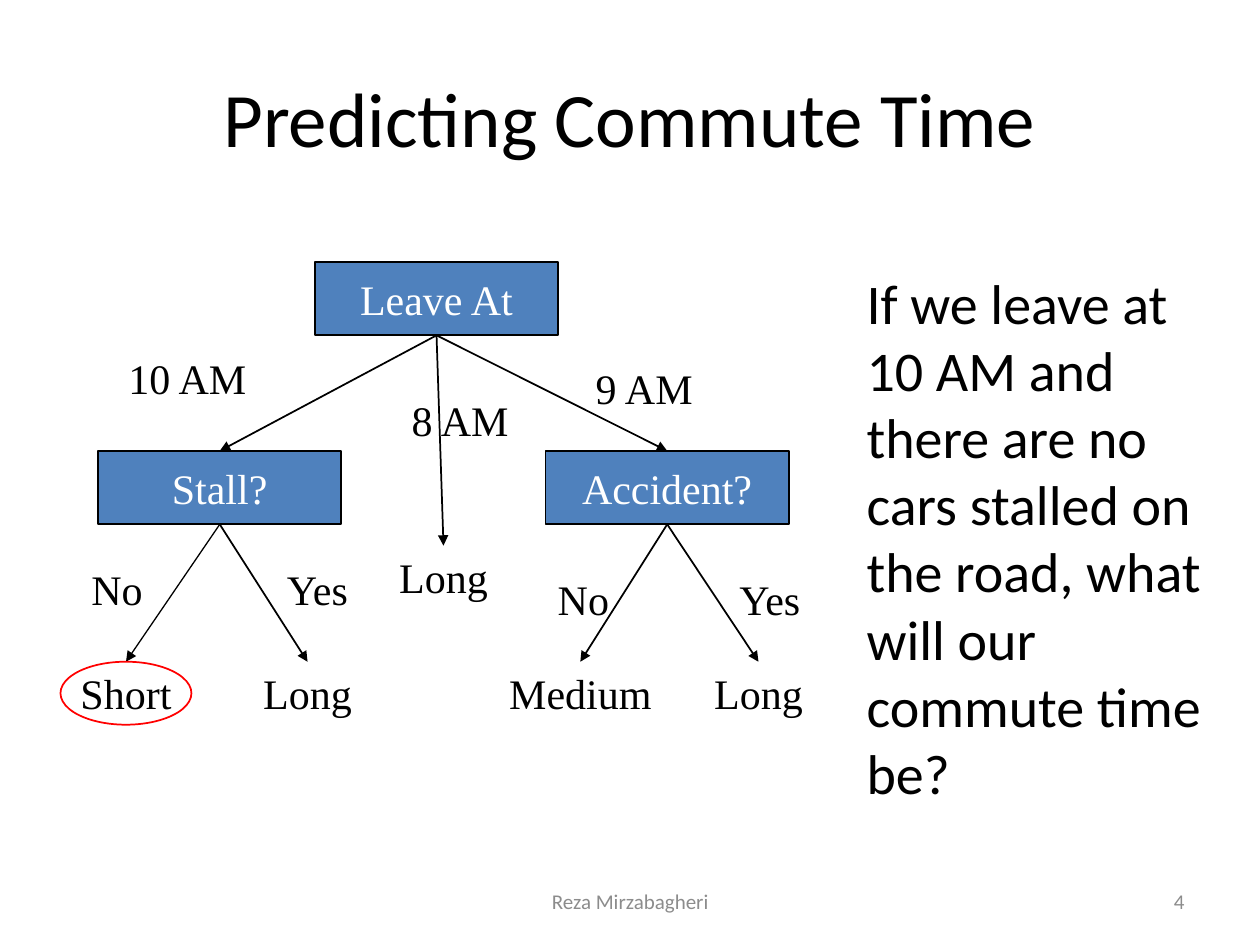
from collections import namedtuple

from lxml import etree
from pptx import Presentation
from pptx.dml.color import RGBColor
from pptx.enum.shapes import MSO_CONNECTOR, MSO_SHAPE
from pptx.enum.text import MSO_ANCHOR, MSO_AUTO_SIZE, PP_ALIGN
from pptx.oxml.ns import qn
from pptx.util import Cm, Pt

LEFT, CENTER, RIGHT = PP_ALIGN.LEFT, PP_ALIGN.CENTER, PP_ALIGN.RIGHT
TOP, MIDDLE = MSO_ANCHOR.TOP, MSO_ANCHOR.MIDDLE
FIT, STRAIGHT = MSO_AUTO_SIZE.SHAPE_TO_FIT_TEXT, MSO_CONNECTOR.STRAIGHT
RECTANGLE, OVAL = MSO_SHAPE.RECTANGLE, MSO_SHAPE.OVAL
TOP_SITE, BOTTOM_SITE = 0, 2

COLORS = {"ink": "000000", "node": "4F81BD", "node_text": "FFFFFF",
          "answer": "FF0000", "footer": "8C8C8C"}
SANS, SERIF = "Calibri", "Times New Roman"
NODE_WIDTH, NODE_HEIGHT = 4.9, 1.48
LABEL_WIDTH, LABEL_HEIGHT = 2.64, 1.27

Box = namedtuple("Box", "left top width height")

NODES = {"Leave At": (5.35, 0), "Stall?": (0.98, 3.81), "Accident?": (10, 3.81)}
LEAVES = [
    ("Stall?", "Short", 1.54, 8.06, LABEL_WIDTH, 0.75),
    ("Stall?", "Long", 5.2, 8.06, LABEL_WIDTH, 1),
    ("Leave At", "Long", 7.94, 5.72, LABEL_WIDTH, 1),
    ("Accident?", "Medium", 10.7, 8.06, 3.94, 1),
    ("Accident?", "Long", 14.29, 8.06, LABEL_WIDTH, 1),
]
BRANCH_LABELS = [
    ("10 AM", 1.34, 1.71, 3.02, LEFT),
    ("8 AM", 7.05, 2.54, LABEL_WIDTH, LEFT),
    ("9 AM", 10.76, 1.91, LABEL_WIDTH, LEFT),
    ("No", 0.04, 5.95, LABEL_WIDTH, CENTER),
    ("Yes", 4.08, 5.95, LABEL_WIDTH, CENTER),
    ("No", 9.44, 6.15, LABEL_WIDTH, CENTER),
    ("Yes", 13.2, 6.15, LABEL_WIDTH, CENTER),
]


def color(name):
    """Return the named colour."""
    return RGBColor.from_string(COLORS[name])


def lengths(box):
    """Convert a box in centimetres to lengths."""
    return [Cm(value) for value in box]


def within(box, left, top, width, height):
    """Return a box offset from the corner of another."""
    return Box(box.left + left, box.top + top, width, height)


def write(frame, text, size, font, ink="ink", align=LEFT, anchor=TOP):
    """Write one formatted run in a text frame."""
    frame.vertical_anchor = anchor
    para = frame.paragraphs[0]
    para.alignment = align
    span = para.add_run()
    span.text = text
    span.font.size = Pt(size)
    span.font.name = font
    span.font.color.rgb = color(ink)


def add_text(page, box, text, size, font, **style):
    """Add a wrapping text box."""
    label = page.shapes.add_textbox(*lengths(box))
    label.text_frame.word_wrap = True
    write(label.text_frame, text, size, font, **style)
    return label


def add_label(page, box, text, align):
    """Add a tree label that grows with its text."""
    label = add_text(page, box, text, 24, SERIF, align=align)
    label.text_frame.auto_size = FIT
    return label


def add_outlined(page, kind, box, line):
    """Add an outlined shape without shadow."""
    shape = page.shapes.add_shape(kind, *lengths(box))
    shape.shadow.inherit = False
    shape.line.color.rgb = color(line)
    shape.line.width = Pt(1)
    return shape


def add_node(page, box, text):
    """Add a decision node."""
    node = add_outlined(page, RECTANGLE, box, "ink")
    node.fill.solid()
    node.fill.fore_color.rgb = color("node")
    node.text_frame.word_wrap = False
    write(node.text_frame, text, 24, SERIF, "node_text", CENTER, MIDDLE)
    return node


def add_branch(page, parent, child, width=1):
    """Connect a parent to a child with an arrow."""
    branch = page.shapes.add_connector(STRAIGHT, 0, 0, 0, 0)
    branch.begin_connect(parent, BOTTOM_SITE)
    branch.end_connect(child, TOP_SITE)
    branch.line.color.rgb = color("ink")
    branch.line.width = Pt(width)
    etree.SubElement(branch.line._get_or_add_ln(), qn("a:tailEnd"), type="triangle")
    etree.SubElement(branch._element.spPr, qn("a:effectLst"))


def add_title(page, box):
    """Place the slide title."""
    title = page.shapes.title
    title.left, title.top, title.width, title.height = lengths(box)
    write(title.text_frame, "Predicting Commute Time", 44, SANS,
          align=CENTER, anchor=MIDDLE)


def add_tree(page, box):
    """Draw the decision tree with the answer circled."""
    nodes = {
        text: add_node(page, within(box, left, top, NODE_WIDTH, NODE_HEIGHT), text)
        for text, (left, top) in NODES.items()
    }
    for child in ("Stall?", "Accident?"):
        add_branch(page, nodes["Leave At"], nodes[child])
    for parent, text, center, top, width, line_width in LEAVES:
        place = within(box, center - width / 2, top, width, LABEL_HEIGHT)
        leaf = add_label(page, place, text, CENTER)
        add_branch(page, nodes[parent], leaf, line_width)
        if text == "Short":
            add_outlined(page, OVAL, place, "answer").fill.background()
    for text, left, top, width, align in BRANCH_LABELS:
        add_label(page, within(box, left, top, width, LABEL_HEIGHT), text, align)


def add_question(page, box):
    """Add the question beside the tree."""
    question = add_text(
        page, box,
        "If we leave at 10 AM and there are no cars stalled on the road, "
        "what will our commute time be?", 32, SANS)
    question.text_frame.auto_size = FIT


def add_footer(page, box):
    """Add the author and the page number."""
    author = within(box, 0, 0, 8.05, box.height)
    number = within(box, box.width - 5.92, 0, 5.92, box.height)
    for place, text, align in ((author, "Reza Mirzabagheri", CENTER),
                               (number, "4", RIGHT)):
        add_text(page, place, text, 12, SANS, ink="footer",
                 align=align, anchor=MIDDLE)


def main():
    """Build and save the deck."""
    deck = Presentation()
    deck.slide_width, deck.slide_height = Cm(25.4), Cm(19.05)
    page = deck.slides.add_slide(deck.slide_layouts[5])
    add_title(page, Box(1.27, 0.76, 22.86, 3.18))
    add_tree(page, Box(1, 5.28, 15.84, 9.33))
    add_question(page, Box(17.22, 5.28, 7.9, 9.73))
    add_footer(page, Box(8.68, 17.65, 15.45, 1.02))
    deck.save("out.pptx")


if __name__ == "__main__":
    main()
